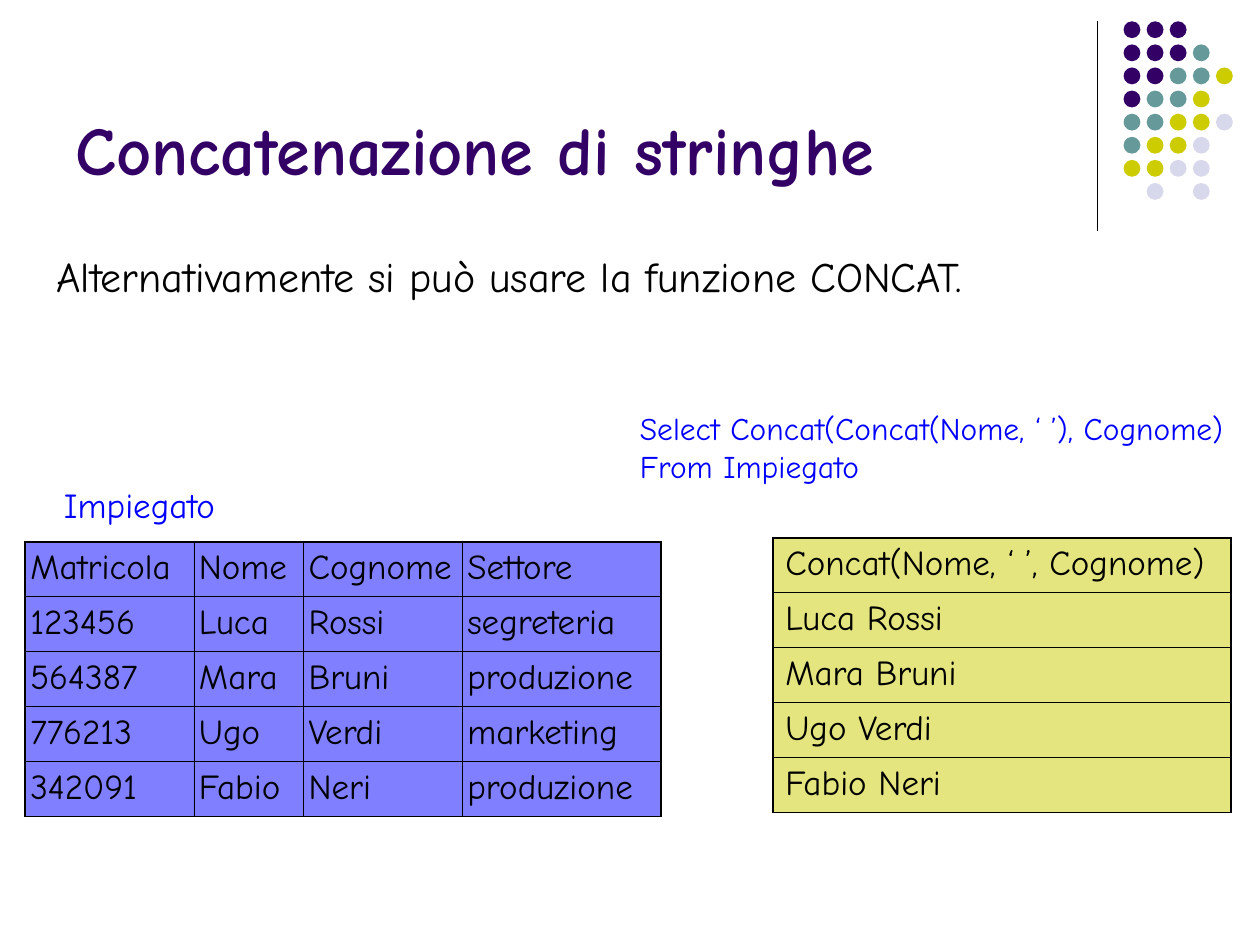
from dataclasses import dataclass

from lxml.etree import SubElement
from pptx import Presentation
from pptx.dml.color import RGBColor
from pptx.enum.shapes import MSO_CONNECTOR as Connector, MSO_SHAPE as Shape
from pptx.enum.text import MSO_ANCHOR as Anchor, MSO_AUTO_SIZE as AutoSize, PP_ALIGN as Align
from pptx.oxml.ns import qn
from pptx.util import Cm, Pt


@dataclass(frozen=True)
class Theme:
    font: str = "Comic Neue"
    purple: str = "330066"
    teal: str = "669999"
    olive: str = "CCCC00"
    lilac: str = "D8D8EC"
    blue: str = "0000FF"
    black: str = "000000"
    title_size: float = 39
    body_size: float = 24
    table_size: float = 20
    query_size: float = 18
    outer_line: float = 1.08
    inner_line: float = 0.45


theme = Theme()


def format_text(text_frame, size, color, bold=False):
    for paragraph in text_frame.paragraphs:
        paragraph.alignment = Align.LEFT
        for run in paragraph.runs:
            run.font.name = theme.font
            run.font.size = Pt(size)
            run.font.bold = bold
            run.font.color.rgb = RGBColor.from_string(color)


def add_data_table(slide, left, top, widths, height, margin, color, rows):
    frame = slide.shapes.add_table(
        len(rows), len(widths), Cm(left), Cm(top), Cm(sum(widths)), Cm(height))
    table = frame.table
    table.first_row = table.horz_banding = False
    for column, width in zip(table.columns, widths):
        column.width = Cm(width)
    for row_index, values in enumerate(rows):
        table.rows[row_index].height = Cm(height / len(rows))
        for column_index, value in enumerate(values):
            cell = table.cell(row_index, column_index)
            cell.text_frame.text = value
            format_text(cell.text_frame, theme.table_size, theme.black)
            cell.margin_left = cell.margin_right = Cm(margin)
            cell.margin_top = cell.margin_bottom = Cm(0.13)
            # Thick outer border, thin inner lines
            properties = cell._tc.get_or_add_tcPr()
            edges = {
                "a:lnL": column_index == 0,
                "a:lnR": column_index == len(widths) - 1,
                "a:lnT": row_index == 0,
                "a:lnB": row_index == len(rows) - 1,
            }
            for tag, is_outer in edges.items():
                line_width = theme.outer_line if is_outer else theme.inner_line
                line = SubElement(properties, qn(tag), w=str(Pt(line_width)))
                line_fill = SubElement(line, qn("a:solidFill"))
                SubElement(line_fill, qn("a:srgbClr"), val=theme.black)
            # Half-transparent fill
            cell.fill.solid()
            cell.fill.fore_color.rgb = RGBColor.from_string(color)
            fill_color = properties.find(qn("a:solidFill")).find(qn("a:srgbClr"))
            SubElement(fill_color, qn("a:alpha"), val="50000")


presentation = Presentation()
presentation.slide_width = Cm(25.4)
presentation.slide_height = Cm(19.05)
slide = presentation.slides.add_slide(presentation.slide_layouts[5])

# Title
title = slide.shapes.title
title.left, title.top, title.width, title.height = Cm(1.27), Cm(0.33), Cm(20.96), Cm(3.61)
title.text_frame.text = "Concatenazione di stringhe"
title.text_frame.vertical_anchor = Anchor.BOTTOM
title.text_frame.auto_size = AutoSize.NONE
format_text(title.text_frame, theme.title_size, theme.purple, bold=True)

# Corner rule
rule = slide.shapes.add_connector(Connector.STRAIGHT, Cm(22.12), Cm(0.43), Cm(22.12), Cm(4.65))
rule.line.color.rgb = RGBColor.from_string(theme.black)
rule.line.width = Pt(0.75)
SubElement(rule._element.spPr, qn("a:effectLst"))

# Corner dots: one letter per dot, a point where the grid is empty
dot_colors = {"P": theme.purple, "T": theme.teal, "O": theme.olive, "L": theme.lilac}
dot_rows = ["PPP..", "PPPT.", "PPTTO", "PTTO.", "TTOOL", "TOOL.", "OOLL.", ".L.L."]
dot_pitch = 3.26 / 7
dots = slide.shapes.add_group_shape()
for row_index, dot_row in enumerate(dot_rows):
    for column_index, letter in enumerate(dot_row):
        if letter not in dot_colors:
            continue
        dot = dots.shapes.add_shape(
            Shape.OVAL, Cm(22.65 + column_index * dot_pitch),
            Cm(0.43 + row_index * dot_pitch), Cm(0.34), Cm(0.34))
        dot.shadow.inherit = False
        dot.fill.solid()
        dot.fill.fore_color.rgb = RGBColor.from_string(dot_colors[letter])
        dot.line.fill.background()

# Sentence, table name and query
texts = [
    (0.89, 4.93, 23.85, 1.27, True, theme.body_size, theme.black,
     "Alternativamente si può usare la funzione CONCAT."),
    (1.04, 9.63, 3.58, 1.12, False, theme.table_size, theme.blue, "Impiegato"),
    (12.65, 8.13, 12.27, 1.78, False, theme.query_size, theme.blue,
     "Select Concat(Concat(Nome, ‘ ’), Cognome)\nFrom Impiegato"),
]
for left, top, width, height, wrap, size, color, text in texts:
    text_box = slide.shapes.add_textbox(Cm(left), Cm(top), Cm(width), Cm(height))
    text_box.text_frame.text = text
    text_box.text_frame.word_wrap = wrap
    text_box.text_frame.auto_size = AutoSize.SHAPE_TO_FIT_TEXT
    format_text(text_box.text_frame, size, color)

# Source table and query result
employees = [
    ("Matricola", "Nome", "Cognome", "Settore"),
    ("123456", "Luca", "Rossi", "segreteria"),
    ("564387", "Mara", "Bruni", "produzione"),
    ("776213", "Ugo", "Verdi", "marketing"),
    ("342091", "Fabio", "Neri", "produzione"),
]
full_names = [("Concat(Nome, ‘ ’, Cognome)",)]
full_names += [(f"{name} {surname}",) for _, name, surname, _ in employees[1:]]
add_data_table(slide, 0.51, 10.92, [3.4, 2.21, 3.2, 4], 5.54, 0.1, theme.blue, employees)
add_data_table(slide, 15.58, 10.84, [9.24], 5.54, 0.25, theme.olive, full_names)

presentation.save("out.pptx")
